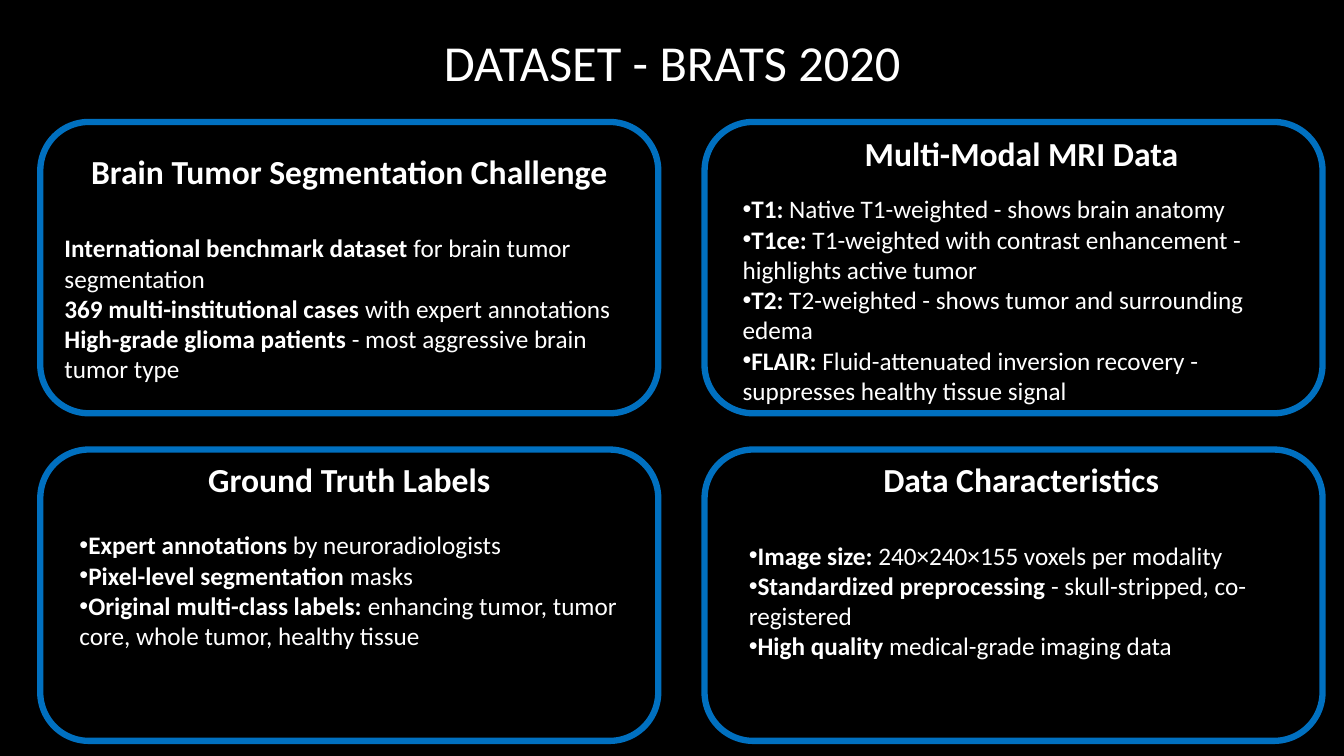
from lxml import etree
from pptx import Presentation
from pptx.dml.color import RGBColor
from pptx.enum.shapes import MSO_SHAPE as SHAPE
from pptx.enum.text import MSO_ANCHOR as ANCHOR, MSO_AUTO_SIZE as AUTO, PP_ALIGN as ALIGN
from pptx.oxml.ns import qn
from pptx.util import Pt

COLORS = {"background": "000000", "text": "FFFFFF", "border": "0070C0"}
FONT = "Calibri"
LEFT, RIGHT = 28.8, 503.3
TOP, BOTTOM = 87.1, 321.1
CARD_W, CARD_H = 441.4, 208.1

CHALLENGE = [
    ("International benchmark dataset", " for brain tumor segmentation"),
    ("369 multi-institutional cases", " with expert annotations"),
    ("High-grade glioma patients", " - most aggressive brain tumor type"),
]
# heading, box (left, top, width, height), gap below heading, items
PANELS = [
    ("Multi-Modal MRI Data", (523.4, 91.4, 412.6, 203.8), 14.6, [
        ("T1:", " Native T1-weighted - shows brain anatomy"),
        ("T1ce:", " T1-weighted with contrast enhancement - highlights active tumor"),
        ("T2:", " T2-weighted - shows tumor and surrounding edema"),
        ("FLAIR:", " Fluid-attenuated inversion recovery - suppresses healthy tissue signal"),
    ]),
    ("Ground Truth Labels", (49.7, 324, 399.6, 145.4), 22, [
        ("Expert annotations", " by neuroradiologists"),
        ("Pixel-level segmentation", " masks"),
        ("Original multi-class labels:", " enhancing tumor, tumor core, whole tumor, healthy tissue"),
    ]),
    ("Data Characteristics", (527.8, 324, 403.2, 152.6), 29.3, [
        ("Image size:", " 240×240×155 voxels per modality"),
        ("Standardized preprocessing", " - skull-stripped, co-registered"),
        ("High quality", " medical-grade imaging data"),
    ]),
]


def rgb(name):
    return RGBColor.from_string(COLORS[name])


def add_run(p, text, size=18, bold=False):
    r = p.add_run()
    r.text = text
    r.font.name, r.font.size, r.font.bold = FONT, Pt(size), bold
    r.font.color.rgb = rgb("text")


def add_bullet(p):
    pPr = p._p.get_or_add_pPr()
    etree.SubElement(pPr, qn("a:buFont")).set("typeface", "Arial")
    etree.SubElement(pPr, qn("a:buChar")).set("char", "•")


def add_title(s, text):
    title = s.shapes.title
    title.left, title.top, title.width, title.height = Pt(66.2), Pt(8.6), Pt(828), Pt(69.8)
    tf = title.text_frame
    tf.vertical_anchor = ANCHOR.MIDDLE
    p = tf.paragraphs[0]
    p.alignment = ALIGN.CENTER
    add_run(p, text, size=36)


def add_card(s, left, top):
    card = s.shapes.add_shape(SHAPE.ROUNDED_RECTANGLE, Pt(left), Pt(top), Pt(CARD_W), Pt(CARD_H))
    card.shadow.inherit = False
    card.fill.background()
    card.line.color.rgb = rgb("border")
    card.line.width = Pt(4.5)
    return card


def fill_text(tf, heading, gap, items, bullets=True):
    """Write a centred heading, then items that open with a bold term."""
    tf.word_wrap = True
    p = tf.paragraphs[0]
    p.alignment = ALIGN.CENTER
    p.space_after = Pt(gap)
    add_run(p, heading, size=24, bold=True)
    for term, detail in items:
        p = tf.add_paragraph()
        p.alignment = ALIGN.LEFT
        if bullets:
            add_bullet(p)
        add_run(p, term, bold=True)
        add_run(p, detail)


def add_panel(s, heading, box, gap, items):
    tf = s.shapes.add_textbox(*map(Pt, box)).text_frame
    tf.auto_size = AUTO.SHAPE_TO_FIT_TEXT
    fill_text(tf, heading, gap, items)


def main():
    prs = Presentation()
    prs.slide_width, prs.slide_height = Pt(960), Pt(540)
    s = prs.slides.add_slide(prs.slide_layouts[5])
    s.background.fill.solid()
    s.background.fill.fore_color.rgb = rgb("background")

    add_title(s, "DATASET - BRATS 2020")
    add_card(s, LEFT, BOTTOM)
    challenge = add_card(s, LEFT, TOP).text_frame
    challenge.vertical_anchor = ANCHOR.MIDDLE
    fill_text(challenge, "Brain Tumor Segmentation Challenge", 29.3, CHALLENGE, bullets=False)
    add_card(s, RIGHT, BOTTOM)
    add_card(s, RIGHT, TOP)
    for panel in PANELS:
        add_panel(s, *panel)
    prs.save("out.pptx")


if __name__ == "__main__":
    main()
